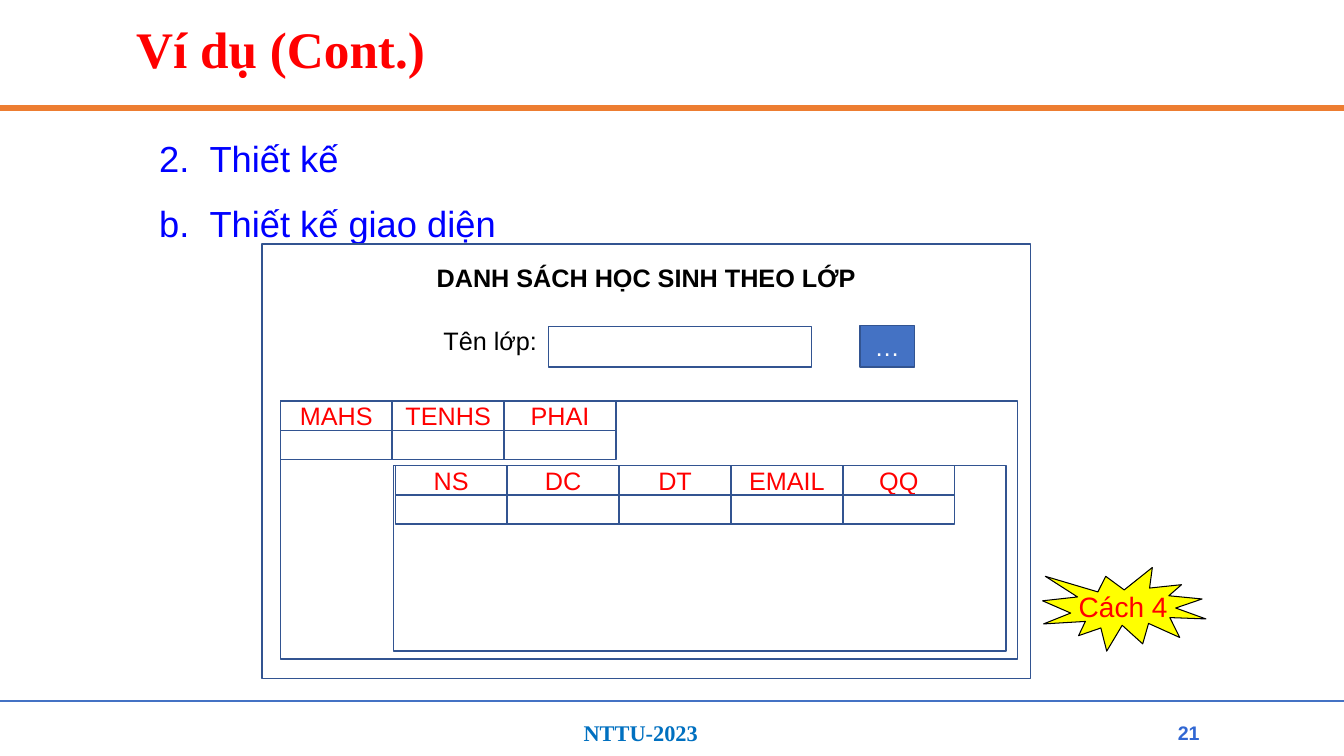
from dataclasses import dataclass

from lxml import etree
from pptx import Presentation
from pptx.dml.color import RGBColor
from pptx.enum.shapes import MSO_CONNECTOR as CONNECTOR, MSO_SHAPE as SHAPE
from pptx.enum.text import MSO_ANCHOR as ANCHOR, PP_ALIGN as ALIGN
from pptx.oxml.ns import qn
from pptx.util import Inches, Pt


@dataclass(frozen=True)
class Theme:
    serif: str = "Times New Roman"
    sans: str = "Arial"
    red: str = "FF0000"
    blue: str = "0000FF"
    footer_blue: str = "0070C0"
    number_blue: str = "3167D3"
    orange: str = "ED7D31"
    accent: str = "4472C4"
    outline: str = "325491"
    yellow: str = "FFFF00"
    black: str = "000000"
    white: str = "FFFFFF"
    title_size: float = 36.6
    body_size: float = 25.9
    burst_size: float = 20
    form_size: float = 18
    footer_size: float = 16
    number_size: float = 14


class SlideBuilder:
    def __init__(self, presentation, theme):
        self.theme = theme
        self.slide = presentation.slides.add_slide(presentation.slide_layouts[5])

    def style(self, paragraph, size, color, font=None, bold=False, align=ALIGN.LEFT):
        paragraph.alignment = align
        for run in paragraph.runs:
            run.font.name = font or self.theme.sans
            run.font.size = Pt(size)
            run.font.bold = bold
            run.font.color.rgb = RGBColor.from_string(color)

    def title(self, text, left, top, width, height):
        title = self.slide.shapes.title
        title.left, title.top = Inches(left), Inches(top)
        title.width, title.height = Inches(width), Inches(height)
        frame = title.text_frame
        frame.text = text
        frame.vertical_anchor = ANCHOR.MIDDLE
        paragraph = frame.paragraphs[0]
        paragraph.line_spacing = 0.9
        self.style(paragraph, self.theme.title_size, self.theme.red, self.theme.serif, True)

    def rule(self, y, color, width):
        """Draw a horizontal line across the whole slide."""
        line = self.slide.shapes.add_connector(
            CONNECTOR.STRAIGHT, 0, Inches(y), Inches(13.33), Inches(y))
        line.line.color.rgb = RGBColor.from_string(color)
        line.line.width = Pt(width)
        etree.SubElement(line._element.spPr, qn("a:effectLst"))

    def text(self, text, left, top, width, height, size, color,
             wrap=True, anchor=ANCHOR.TOP, **style):
        box = self.slide.shapes.add_textbox(
            Inches(left), Inches(top), Inches(width), Inches(height))
        frame = box.text_frame
        frame.word_wrap = wrap
        frame.vertical_anchor = anchor
        frame.text = text
        self.style(frame.paragraphs[0], size, color, **style)
        return frame

    def numbered(self, items, left, top, width, height):
        """Add numbered lines, each given as (text, numbering scheme, first number)."""
        size, color = self.theme.body_size, self.theme.blue
        frame = self.text("", left, top, width, height, size, color)
        for index, (text, scheme, start) in enumerate(items):
            paragraph = frame.add_paragraph() if index else frame.paragraphs[0]
            paragraph.text = text
            paragraph.line_spacing = 1.2
            if index:
                paragraph.space_before = Pt(9.2)
            properties = paragraph._p.get_or_add_pPr()
            properties.set("marL", str(Inches(0.5)))
            properties.set("indent", str(-Inches(0.5)))
            etree.SubElement(properties, qn("a:buFont"), typeface="+mj-lt")
            etree.SubElement(properties, qn("a:buAutoNum"), type=scheme, startAt=str(start))
            self.style(paragraph, size, color, align=ALIGN.JUSTIFY)

    def shape(self, left, top, width, height, text="", kind=SHAPE.RECTANGLE, fill=None,
              line=None, line_width=1, size=None, color=None, wrap=True):
        shape = self.slide.shapes.add_shape(
            kind, Inches(left), Inches(top), Inches(width), Inches(height))
        shape.shadow.inherit = False
        if fill:
            shape.fill.solid()
            shape.fill.fore_color.rgb = RGBColor.from_string(fill)
        else:
            shape.fill.background()
        shape.line.color.rgb = RGBColor.from_string(line or self.theme.outline)
        shape.line.width = Pt(line_width)
        if text:
            frame = shape.text_frame
            frame.word_wrap = wrap
            frame.vertical_anchor = ANCHOR.MIDDLE
            frame.text = text
            self.style(frame.paragraphs[0], size or self.theme.form_size,
                       color or self.theme.red, align=ALIGN.CENTER)

    def field_row(self, names, left, top):
        """Draw header cells with one empty cell under each."""
        step, height = 1.11, 0.29
        for column, name in enumerate(names):
            x = left + column * step
            self.shape(x, top, step, height, name)
            self.shape(x, top + height, step, height)


def main():
    presentation = Presentation()
    presentation.slide_width, presentation.slide_height = Inches(13.33), Inches(7.5)
    theme = Theme()
    builder = SlideBuilder(presentation, theme)

    builder.rule(1.07, theme.orange, 4.5)
    builder.rule(6.95, theme.accent, 1.5)
    builder.text("NTTU-2023", 5.69, 7.09, 1.78, 0.37, theme.footer_size,
                 theme.footer_blue, font=theme.serif, bold=True)
    builder.text("21", 11.56, 7.09, 0.46, 0.36, theme.number_size, theme.number_blue,
                 anchor=ANCHOR.MIDDLE, bold=True, align=ALIGN.CENTER)
    builder.title("Ví dụ (Cont.)", 1.25, 0.23, 10.83, 0.58)
    builder.numbered([("Thiết kế", "arabicPeriod", 2),
                      ("Thiết kế giao diện", "alphaLcPeriod", 2)], 1.48, 1.22, 9.34, 4.76)
    builder.shape(10.34, 5.63, 1.62, 0.83, "Cách 4", SHAPE.EXPLOSION1, theme.yellow,
                  theme.black, 0.75, theme.burst_size, wrap=False)

    builder.shape(2.6, 2.42, 7.62, 4.31)
    builder.text("DANH SÁCH HỌC SINH THEO LỚP", 2.6, 2.55, 7.62, 0.4, theme.form_size,
                 theme.black, bold=True, align=ALIGN.CENTER)
    builder.text("Tên lớp:", 4.3, 3.18, 1.14, 0.4, theme.form_size, theme.black, wrap=False)
    builder.shape(5.44, 3.24, 2.61, 0.4)
    builder.shape(8.53, 3.23, 0.54, 0.41, "…", fill=theme.accent, color=theme.white)

    builder.shape(2.78, 3.98, 7.31, 2.56)
    builder.field_row(["MAHS", "TENHS", "PHAI"], 2.78, 3.98)
    builder.shape(3.9, 4.62, 6.08, 1.84)
    builder.field_row(["NS", "DC", "DT", "EMAIL", "QQ"], 3.92, 4.62)

    presentation.save("out.pptx")


if __name__ == "__main__":
    main()
